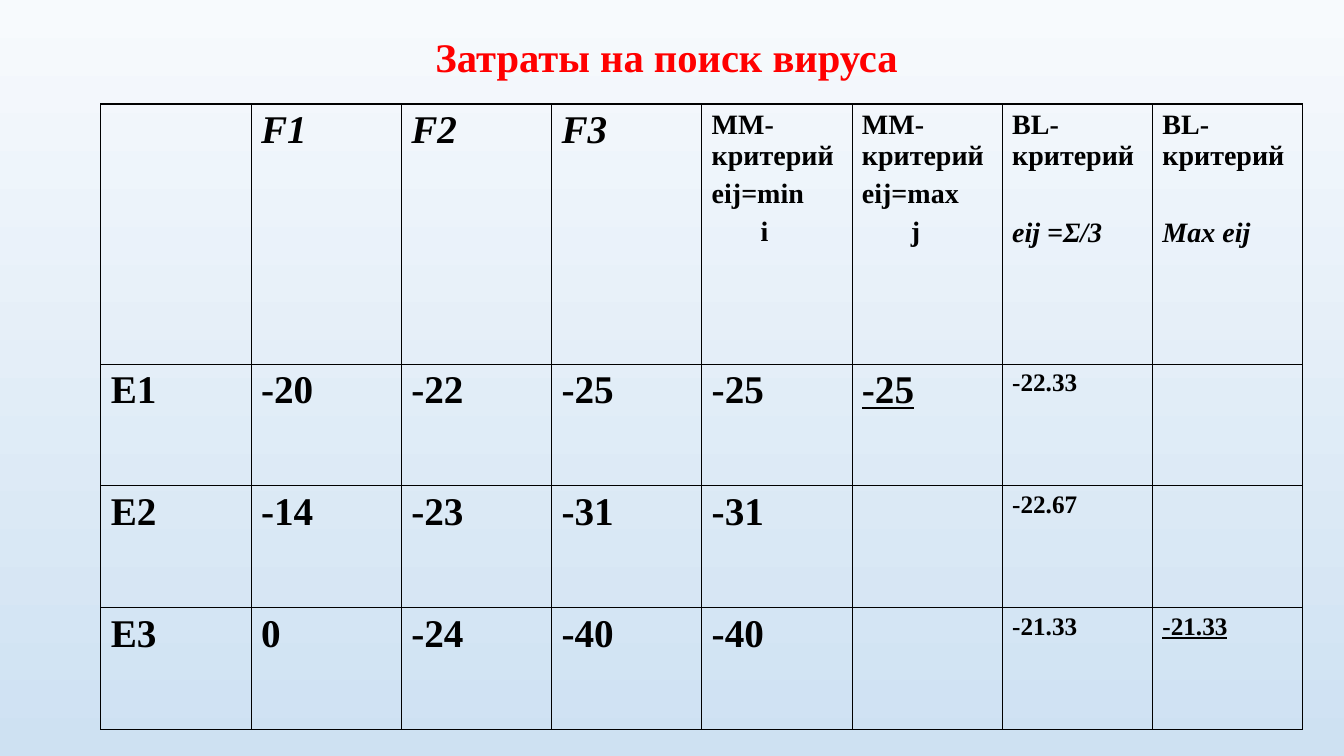
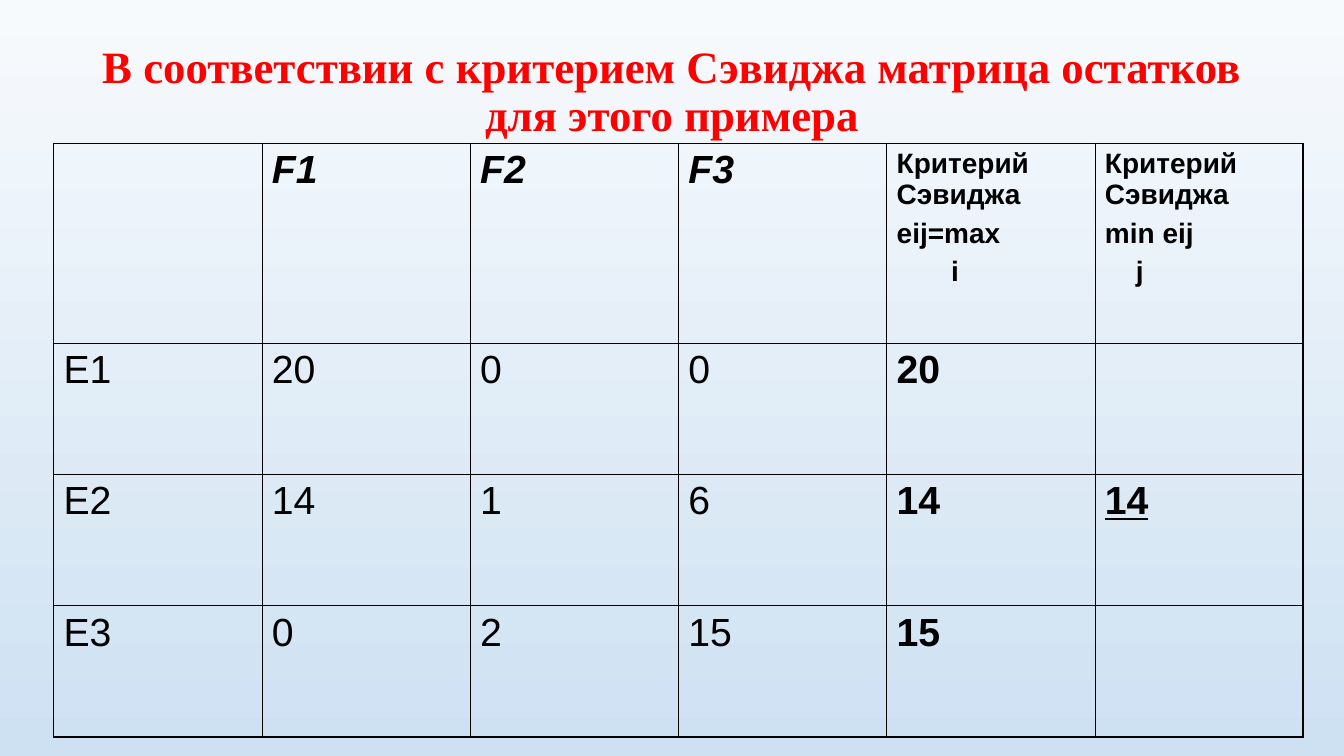
from dataclasses import dataclass
from functools import partial

from lxml import etree
from pptx import Presentation
from pptx.dml.color import RGBColor
from pptx.enum.text import MSO_ANCHOR as Anchor, PP_ALIGN as Align
from pptx.oxml.ns import qn
from pptx.util import Cm, Pt

SERIF, SANS = "Times New Roman", "Arial"
BLACK, RED = "000000", "FF0000"
SKY_TOP, SKY_BOTTOM = "F7FAFD", "CEE1F2"
INNER_LINE, OUTER_LINE = 0.45, 1.08


def color(value):
    return RGBColor.from_string(value)


@dataclass
class Line:
    """One paragraph of a table cell; indent in cm, space before in points."""
    text: str
    size: float = 28
    bold: bool = True
    italic: bool = False
    underline: bool = False
    indent: float = 0
    before: float = 0


Factor = partial(Line, italic=True)
Head = partial(Line, size=20)
Formula = partial(Head, before=5)
Mean = partial(Line, size=18)
Plain = partial(Line, bold=False)
Answer = partial(Line, underline=True)


class Slides:
    def __init__(self):
        self.deck = Presentation()
        self.deck.slide_width, self.deck.slide_height = Cm(33.88), Cm(19.05)
        self.page = None

    def new_page(self):
        self.page = self.deck.slides.add_slide(self.deck.slide_layouts[6])
        fill = self.page.background.fill
        fill.gradient()
        fill.gradient_angle = 270
        for stop, shade in zip(fill.gradient_stops, (SKY_TOP, SKY_BOTTOM)):
            stop.color.rgb = color(shade)

    def title(self, text, height, size):
        box = self.page.shapes.add_textbox(Cm(1.7), Cm(0.76), Cm(30.48), Cm(height))
        frame = box.text_frame
        frame.word_wrap = True
        frame.vertical_anchor = Anchor.MIDDLE
        frame.text = text
        para = frame.paragraphs[0]
        para.alignment = Align.CENTER
        para.line_spacing = 0.9
        self.format(para.runs[0], SERIF, size, RED, bold=True)

    def format(self, span, font, size, shade, bold=False, italic=False, underline=False):
        span.font.name, span.font.size = font, Pt(size)
        span.font.bold, span.font.italic = bold, italic
        span.font.underline = underline
        span.font.color.rgb = color(shade)

    def table(self, left, top, width, head_height, row_height, font, rows):
        columns = len(rows[0])
        height = head_height + row_height * (len(rows) - 1)
        frame = self.page.shapes.add_table(
            len(rows), columns, Cm(left), Cm(top), Cm(width), Cm(height))
        table = frame.table
        table.first_row = table.horz_banding = False
        for column in table.columns:
            column.width = Cm(width / columns)
        for r, cells in enumerate(rows):
            table.rows[r].height = Cm(row_height if r else head_height)
            for c, lines in enumerate(cells):
                cell = table.cell(r, c)
                self.borders(cell, {"L": c == 0, "R": c == columns - 1,
                                    "T": r == 0, "B": r == len(rows) - 1})
                cell.fill.background()
                self.cell_text(cell, lines, font)

    def borders(self, cell, outer_sides):
        props = cell._tc.get_or_add_tcPr()
        for side, outer in outer_sides.items():
            width = Pt(OUTER_LINE if outer else INNER_LINE)
            line = etree.SubElement(props, qn(f"a:ln{side}"), w=str(width))
            fill = etree.SubElement(line, qn("a:solidFill"))
            etree.SubElement(fill, qn("a:srgbClr"), val=BLACK)

    def cell_text(self, cell, lines, font):
        frame = cell.text_frame
        for i, line in enumerate(lines):
            para = frame.add_paragraph() if i else frame.paragraphs[0]
            para.text = line.text
            if line.before:
                para.space_before = Pt(line.before)
            if line.indent:
                para._p.get_or_add_pPr().set("marL", str(Cm(line.indent)))
            self.format(para.runs[0], font, line.size, BLACK,
                        line.bold, line.italic, line.underline)


def row(kinds, *texts):
    """Cells of one row, each text with the kind of line in its column."""
    return [[kind(text)] if text else [] for kind, text in zip(kinds, texts)]


def main():
    slides = Slides()
    factors = [[], [Factor("F1")], [Factor("F2")], [Factor("F3")]]

    # Search costs: minimax and Bayes-Laplace criteria
    slides.new_page()
    slides.title("Затраты на поиск вируса ", height=1.45, size=29)
    kinds = [Line] * 5 + [Answer, Mean, partial(Mean, underline=True)]
    slides.table(2.54, 2.62, 30.3, 6.55, 3.07, SERIF, [
        factors + [
            [Head("ММ-критерий"), Formula("eij=min"), Formula("i", indent=1.23)],
            [Head("ММ-критерий"), Formula("eij=max"), Formula("j", indent=1.23)],
            [Head("BL-критерий"), Head("eij =Σ/3", italic=True, before=33)],
            [Head("BL-критерий"), Head("Max eij", italic=True, before=33)],
        ],
        row(kinds, "Е1", "-20", "-22", "-25", "-25", "-25", "-22.33", ""),
        row(kinds, "Е2", "-14", "-23", "-31", "-31", "", "-22.67", ""),
        row(kinds, "Е3", "0", "-24", "-40", "-40", "", "-21.33", "-21.33"),
    ])

    # Regret matrix: Savage criterion
    slides.new_page()
    slides.title("В соответствии с критерием Сэвиджа матрица остатков для этого примера",
                 height=3.18, size=32)
    kinds = [Plain] * 4 + [Line, Answer]
    slides.table(1.35, 3.61, 31.5, 5.03, 3.31, SANS, [
        factors + [
            [Head("Критерий Сэвиджа"), Formula("eij=max"), Formula("i", indent=1.37)],
            [Head("Критерий Сэвиджа"), Formula("min eij"), Formula("j", indent=0.78)],
        ],
        row(kinds, "Е1", "20", "0", "0", "20", ""),
        row(kinds, "Е2", "14", "1", "6", "14", "14"),
        row(kinds, "Е3", "0", "2", "15", "15", ""),
    ])

    slides.deck.save("out.pptx")


if __name__ == "__main__":
    main()
